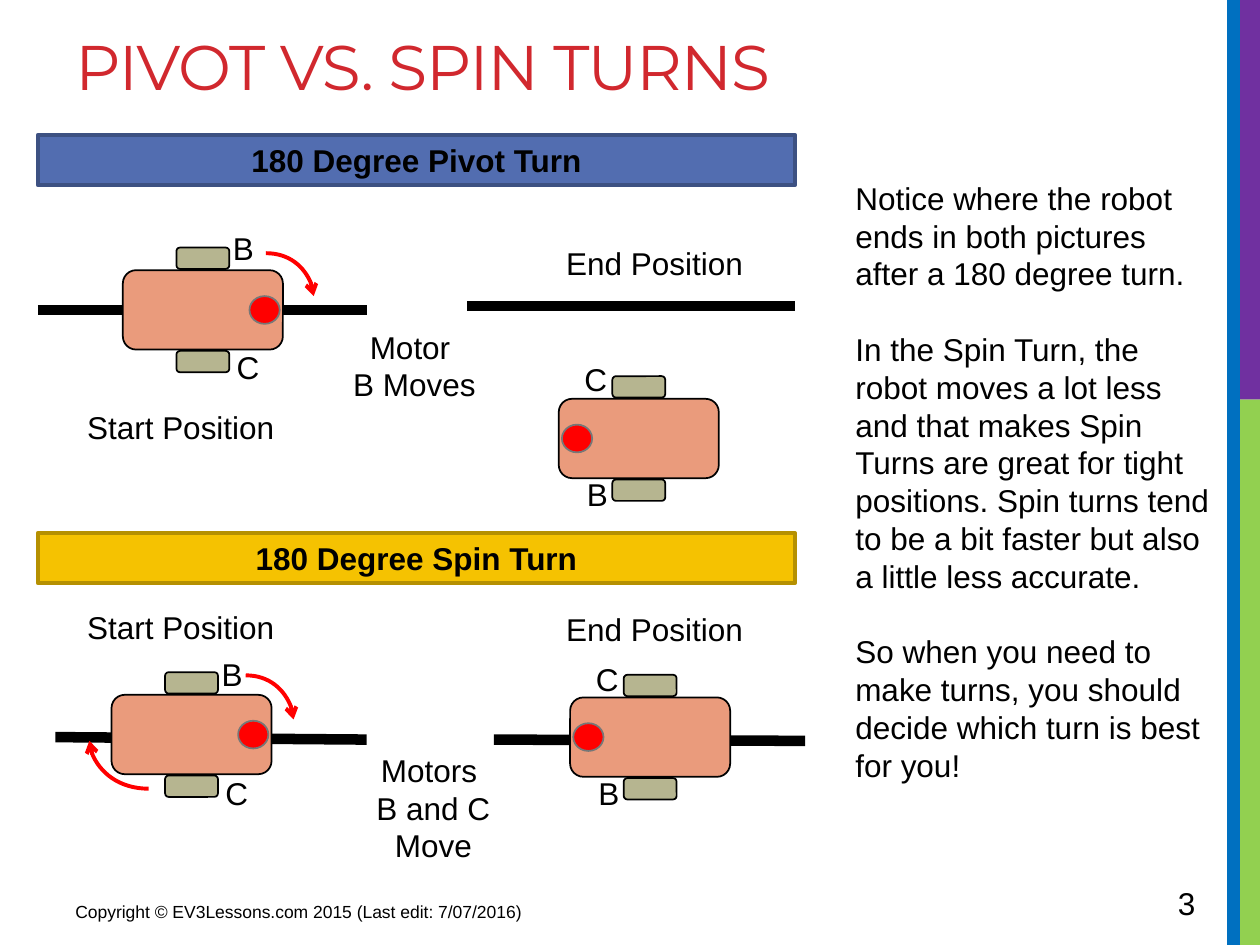
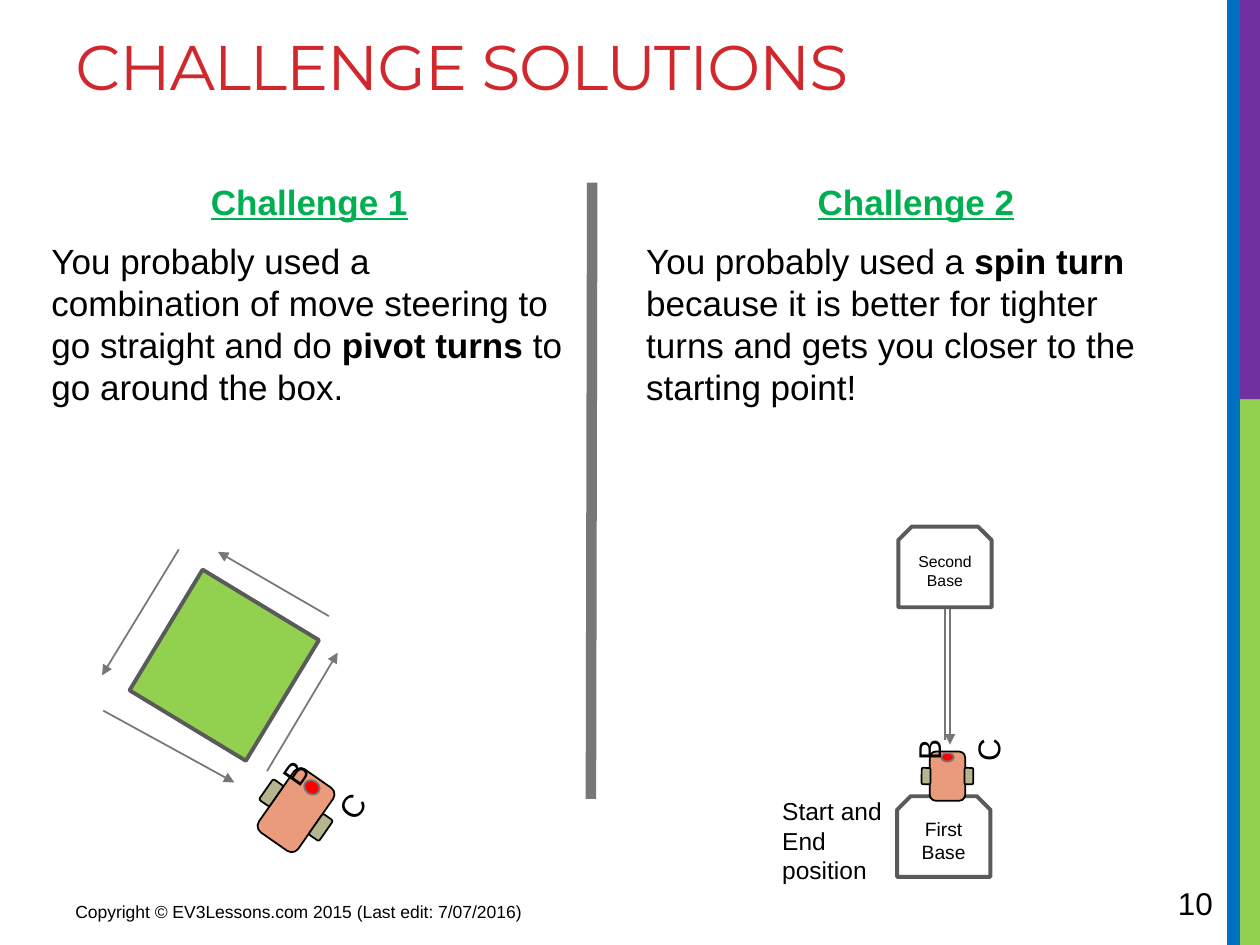
"""Build two slides on pivot and spin turns of a robot."""
import math

import lxml.etree
import pptx
import pptx.dml.color
import pptx.enum.shapes
import pptx.enum.text
import pptx.oxml.ns
import pptx.util

Inches, Pt = pptx.util.Inches, pptx.util.Pt
RGBColor = pptx.dml.color.RGBColor
FORM = pptx.enum.shapes.MSO_SHAPE
JOIN = pptx.enum.shapes.MSO_CONNECTOR
ALIGN = pptx.enum.text.PP_ALIGN
ANCHOR = pptx.enum.text.MSO_ANCHOR
qn = pptx.oxml.ns.qn

BLACK = RGBColor(0x00, 0x00, 0x00)
WHITE = RGBColor(0xFF, 0xFF, 0xFF)
RED = RGBColor(0xFF, 0x00, 0x00)
CRIMSON = RGBColor(0xD1, 0x28, 0x2E)
LIME = RGBColor(0x92, 0xD0, 0x50)
GREEN = RGBColor(0x00, 0xB0, 0x50)
PURPLE = RGBColor(0x70, 0x30, 0xA0)
BLUE = RGBColor(0x00, 0x70, 0xC0)
STEEL = RGBColor(0x52, 0x6D, 0xB0)
NAVY = RGBColor(0x3D, 0x51, 0x82)
GOLD = RGBColor(0xF5, 0xC2, 0x01)
BRONZE = RGBColor(0xB5, 0x90, 0x01)
SALMON = RGBColor(0xEA, 0x9B, 0x7C)
KHAKI = RGBColor(0xB6, 0xB5, 0x90)
GREY = RGBColor(0x77, 0x77, 0x77)
DARK = RGBColor(0x5A, 0x5A, 0x5A)


def draw(page, form, box, fill, edge=None, width=1, turn=0):
    shape = page.shapes.add_shape(form, *[Inches(v) for v in box])
    shape.shadow.inherit = False
    shape.rotation = turn
    shape.fill.solid()
    shape.fill.fore_color.rgb = fill
    if edge is None:
        shape.line.fill.background()
    else:
        shape.line.color.rgb = edge
        shape.line.width = Pt(width)
    return shape


def write(shape, paras, size=18, align=ALIGN.LEFT, color=BLACK,
          bold=False, font="Arial", anchor=ANCHOR.TOP):
    frame = shape.text_frame
    frame.word_wrap = True
    frame.vertical_anchor = anchor
    for num, words in enumerate(paras):
        para = frame.paragraphs[0] if num == 0 else frame.add_paragraph()
        para.alignment = align
        for piece, strong in [(words, bold)] if isinstance(words, str) else words:
            run = para.add_run()
            run.text = piece
            run.font.name = font
            run.font.size = Pt(size)
            run.font.bold = strong
            run.font.color.rgb = color
    return frame


deck = pptx.Presentation()
deck.slide_width, deck.slide_height = Inches(10), Inches(7.5)

pages = []
for title, number in [("PIVOT VS. SPIN TURNS", "3"), ("CHALLENGE SOLUTIONS", "10")]:
    page = deck.slides.add_slide(deck.slide_layouts[6])
    pages.append(page)
    for box, fill in [((9.84, 3.17, 0.16, 4.33), LIME),
                      ((9.8, 0, 0.2, 3.17), PURPLE),
                      ((9.74, 0, 0.1, 7.5), BLUE)]:
        draw(page, FORM.RECTANGLE, box, fill)
    for box, words, size, color, font in [
            ((0.5, 0.17, 9.02, 1.5), title, 36, CRIMSON, "Montserrat"),
            ((0.5, 7.1, 4.2, 0.31),
             "Copyright © EV3Lessons.com 2015 (Last edit: 7/07/2016)", 10, BLACK, "Arial"),
            ((9.25, 6.97, 0.69, 0.4), number, 18, BLACK, "Arial")]:
        area = page.shapes.add_textbox(*[Inches(v) for v in box])
        frame = write(area, [words], size, color=color, font=font)
        if words == title:
            frame.paragraphs[0].runs[0].font._element.set("spc", "-60")
turns, tasks = pages

lines = [
    (turns, "line", (3.92, 5.87), (6.39, 5.88), BLACK, 6, None),
    (turns, "line", (0.44, 5.85), (2.91, 5.87), BLACK, 6, None),
    (turns, "line", (0.3, 2.46), (2.91, 2.46), BLACK, 6, None),
    (turns, "line", (3.71, 2.43), (6.31, 2.43), BLACK, 6, None),
    (turns, "curvedConnector2", (2.11, 2.01), (2.49, 2.35), RED, 2.25, "arrow"),
    (turns, "curvedConnector2", (1.95, 5.36), (2.33, 5.71), RED, 2.25, "arrow"),
    (turns, "curvedConnector2", (1.18, 6.26), (0.71, 5.88), RED, 2.25, "arrow"),
    (tasks, "line", (4.69, 6.34), (4.7, 1.45), GREY, 6, None),
    (tasks, "line", (1.42, 4.36), (0.81, 5.36), GREY, 1, "triangle"),
    (tasks, "line", (2.61, 4.89), (1.73, 4.38), GREY, 1, "triangle"),
    (tasks, "line", (2.12, 6.12), (2.68, 5.18), GREY, 1, "triangle"),
    (tasks, "line", (0.82, 5.64), (1.86, 6.21), GREY, 1, "triangle"),
    (tasks, "line", (7.5, 5.87), (7.5, 4.71), GREY, 1, "triangle"),
    (tasks, "line", (7.54, 4.82), (7.54, 5.91), GREY, 1, "triangle"),
]
for page, form, start, end, color, width, tip in lines:
    kind = JOIN.STRAIGHT if form == "line" else JOIN.CURVE
    link = page.shapes.add_connector(kind, *[Inches(v) for v in start + end])
    link.line.color.rgb = color
    link.line.width = Pt(width)
    props = link._element.spPr
    props.find(qn("a:prstGeom")).set("prst", form)
    if tip:
        lxml.etree.SubElement(props.find(qn("a:ln")), qn("a:tailEnd"), type=tip)
    lxml.etree.SubElement(props, qn("a:effectLst"))

for top, words, fill, edge in [(1.07, "180 Degree Pivot Turn", STEEL, NAVY),
                               (4.23, "180 Degree Spin Turn", GOLD, BRONZE)]:
    bar = draw(turns, FORM.RECTANGLE, (0.3, top, 6.01, 0.4), fill, edge, 2.25)
    write(bar, [words], align=ALIGN.CENTER, bold=True, anchor=ANCHOR.MIDDLE)

draw(tasks, FORM.RECTANGLE, (1.22, 4.74, 1.12, 1.08), LIME, DARK, 2.25, 301.2)
for left, top, words, size in [(7.12, 6.32, "First Base", 11),
                               (7.13, 4.18, "Second Base", 9)]:
    base = draw(tasks, FORM.SNIP_2_SAME_RECTANGLE, (left, top, 0.74, 0.64),
                WHITE, DARK, 2.25)
    write(base, [words], size, ALIGN.CENTER, anchor=ANCHOR.MIDDLE)

big = (0.63, 1.27), (0.17, 0.42), 0.41, (0.22, 0.24), 0.49
mid = (0.38, 0.61), (0.1, 0.2), 0.24, (0.13, 0.11), 0.22
small = (0.28, 0.39), (0.07, 0.13), 0.17, (0.1, 0.07), 0.15
robots = [
    (turns, 1.61, 2.46, 90, big), (turns, 5.07, 3.48, 270, big),
    (turns, 1.52, 5.83, 90, big), (turns, 5.16, 5.85, 270, big),
    (tasks, 2.35, 6.43, 34.9, mid), (tasks, 7.52, 6.16, 0, small),
]
for page, x, y, turn, (body, wheel, reach, eye, ahead) in robots:
    sin, cos = math.sin(math.radians(turn)), math.cos(math.radians(turn))
    for form, (wide, high), side, front, fill, edge in [
            (FORM.ROUNDED_RECTANGLE, body, 0, 0, SALMON, BLACK),
            (FORM.ROUNDED_RECTANGLE, wheel, reach, 0, KHAKI, BLACK),
            (FORM.ROUNDED_RECTANGLE, wheel, -reach, 0, KHAKI, BLACK),
            (FORM.OVAL, eye, 0, ahead, RED, GREY)]:
        left = x + side * cos + front * sin - wide / 2
        top = y + side * sin - front * cos - high / 2
        draw(page, form, (left, top, wide, high), fill, edge, 1, turn)

for left, top, words in [
        (1.75, 1.77, "B"), (1.78, 2.71, "C"), (4.56, 3.72, "B"), (4.54, 2.81, "C"),
        (1.66, 5.15, "B"), (1.69, 6.09, "C"), (4.65, 6.09, "B"), (4.63, 5.19, "C")]:
    area = turns.shapes.add_textbox(Inches(left), Inches(top), Inches(0.51), Inches(0.32))
    write(area, [words])

for x, y, words, turn in [(2.34, 6.13, "B", 304.9), (2.79, 6.4, "C", 304.9),
                          (7.37, 5.95, "B", 270), (7.84, 5.95, "C", 270)]:
    area = tasks.shapes.add_textbox(Inches(x - 0.2), Inches(y - 0.2),
                                    Inches(0.4), Inches(0.4))
    area.rotation = turn
    write(area, [words], align=ALIGN.CENTER, anchor=ANCHOR.MIDDLE)

for left, top, wide, high, paras in [
        (0.5, 3.19, 1.87, 0.4, ["Start Position"]),
        (4.26, 1.89, 1.87, 0.4, ["End Position"]),
        (2.56, 2.55, 1.46, 0.71, ["Motor ", "B Moves"]),
        (0.5, 4.78, 1.87, 0.4, ["Start Position"]),
        (4.26, 4.79, 1.87, 0.4, ["End Position"]),
        (2.71, 5.91, 1.46, 1.01, ["Motors ", "B and C Move"])]:
    area = turns.shapes.add_textbox(Inches(left), Inches(top), Inches(wide), Inches(high))
    write(area, paras, align=ALIGN.CENTER)

area = turns.shapes.add_textbox(Inches(6.69), Inches(1.37), Inches(3.07), Inches(4.95))
frame = write(area, [
    "Notice where the robot ends in both pictures after a 180 degree turn.",
    "In the Spin Turn, the robot moves a lot less and that makes Spin Turns are great "
    "for tight positions. Spin turns tend to be a bit faster but also a little less "
    "accurate.",
    "So when you need to make turns, you should decide which turn is best for you!"])
for para in frame.paragraphs[1:]:
    para.space_before = Pt(21.6)

area = tasks.shapes.add_textbox(Inches(6.11), Inches(6.27), Inches(1.04), Inches(0.81))
write(area, ["Start and End position"], 14)

for left, wide, head, words in [
        (0.31, 4.29, "Challenge 1",
         [("You probably used a combination of move steering to go straight and do ", False),
          ("pivot turns", True), (" to go around the box.", False)]),
        (5.03, 4.48, "Challenge 2",
         [("You probably used a ", False), ("spin turn ", True),
          ("because it is better for tighter turns and gets you closer to the "
           "starting point!", False)])]:
    area = tasks.shapes.add_textbox(Inches(left), Inches(1.38), Inches(wide), Inches(4.78))
    frame = write(area, [[(head, True)], words], 20)
    first, second = frame.paragraphs
    first.alignment = ALIGN.CENTER
    first.runs[0].font.color.rgb = GREEN
    first.runs[0].font.underline = True
    first.space_after = second.space_after = Pt(6)
    second.space_before = Pt(4)

deck.save("out.pptx")
